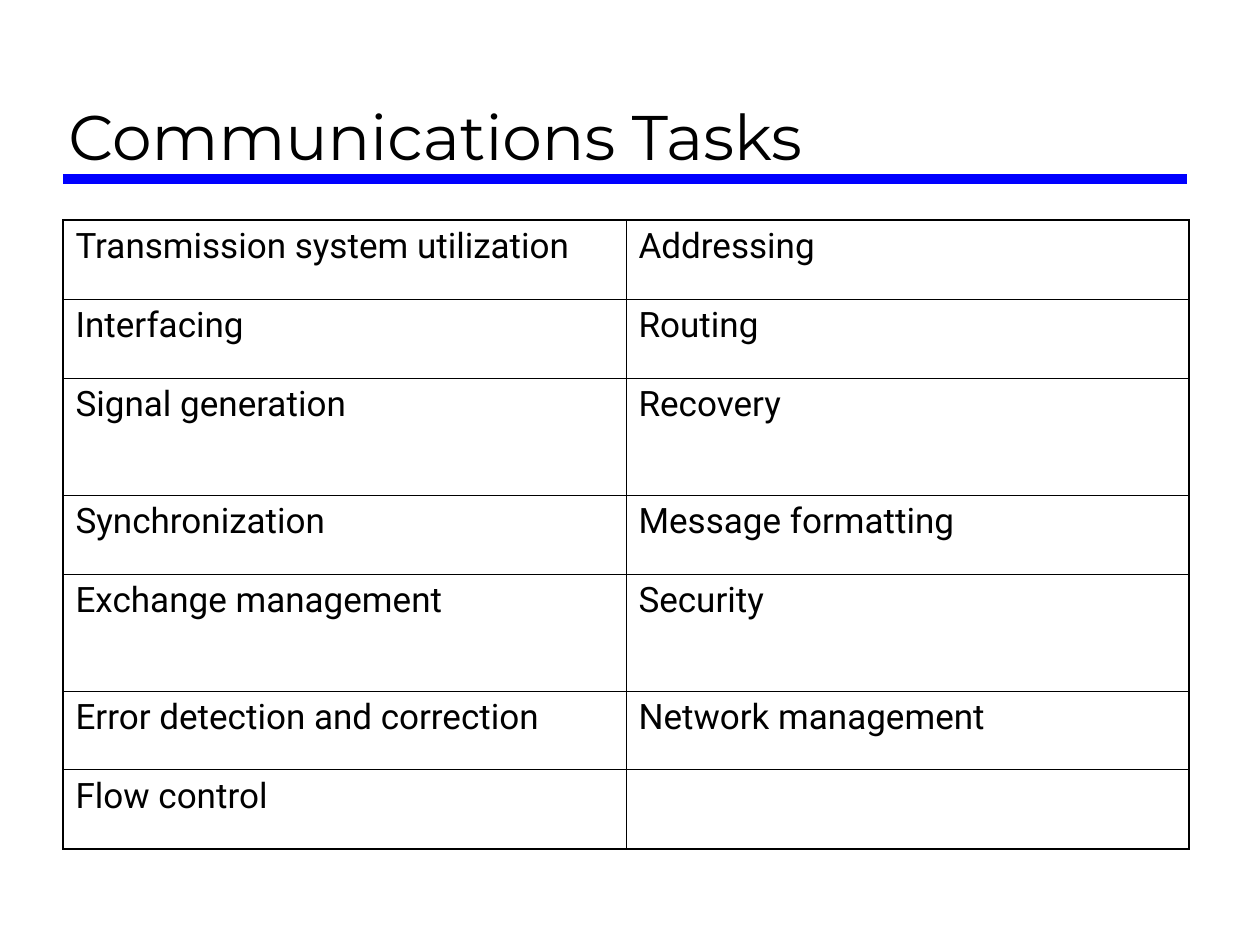
import pptx
import pptx.util
import pptx.dml.color
import pptx.enum.shapes
import pptx.enum.text
import pptx.oxml.ns
import lxml.etree

PX = 914400 // 126
BLACK = pptx.dml.color.RGBColor(0x00, 0x00, 0x00)
BLUE = pptx.dml.color.RGBColor(0x00, 0x00, 0xFF)
THICK, THIN = pptx.util.Pt(1.08), pptx.util.Pt(0.45)
qn = pptx.oxml.ns.qn

TASKS = [
    ("Transmission system utilization", "Addressing"),
    ("Interfacing", "Routing"),
    ("Signal generation", "Recovery"),
    ("Synchronization", "Message formatting"),
    ("Exchange management", "Security"),
    ("Error detection and correction", "Network management"),
    ("Flow control", ""),
]
ROW_HEIGHTS = [79, 79, 117, 79, 117, 79, 79]
COLUMN_WIDTH = 563


def set_font(p, name, size):
    p.font.name = name
    p.font.size = pptx.util.Pt(size)
    p.font.color.rgb = BLACK


def set_borders(cell, widths):
    """Draw black borders; widths are left, right, top, bottom."""
    tcPr = cell._tc.get_or_add_tcPr()
    for i, (side, width) in enumerate(zip("LRTB", widths)):
        ln = lxml.etree.Element(qn(f"a:ln{side}"), w=str(int(width)))
        fill = lxml.etree.SubElement(ln, qn("a:solidFill"))
        lxml.etree.SubElement(fill, qn("a:srgbClr"), val=str(BLACK))
        tcPr.insert(i, ln)


prs = pptx.Presentation()
prs.slide_width = 1260 * PX
prs.slide_height = 945 * PX
s = prs.slides.add_slide(prs.slide_layouts[6])

# Rule under the title
rule = s.shapes.add_connector(
    pptx.enum.shapes.MSO_CONNECTOR.STRAIGHT, 63 * PX, 179 * PX, 1187 * PX, 179 * PX)
rule.line.color.rgb = BLUE
rule.line.width = pptx.util.Pt(6)
lxml.etree.SubElement(rule._element.spPr, qn("a:effectLst"))

# Title
title = s.shapes.add_textbox(56 * PX, 21 * PX, 1130 * PX, 158 * PX)
tf = title.text_frame
tf.word_wrap = True
tf.vertical_anchor = pptx.enum.text.MSO_ANCHOR.BOTTOM
p = tf.paragraphs[0]
p.text = "Communications Tasks"
set_font(p, "Montserrat", 36)

# Task table
table = s.shapes.add_table(
    len(TASKS), 2, 63 * PX, 220 * PX, 2 * COLUMN_WIDTH * PX, sum(ROW_HEIGHTS) * PX).table
table.first_row = False
table.horz_banding = False
for column in table.columns:
    column.width = COLUMN_WIDTH * PX

last = len(TASKS) - 1
for row, (tasks, height) in enumerate(zip(TASKS, ROW_HEIGHTS)):
    table.rows[row].height = height * PX
    for col, task in enumerate(tasks):
        cell = table.cell(row, col)
        cell.fill.background()
        outer = (col == 0, col == 1, row == 0, row == last)
        set_borders(cell, [THICK if edge else THIN for edge in outer])
        p = cell.text_frame.paragraphs[0]
        p.text = task
        p.space_before = pptx.util.Pt(5)
        set_font(p, "Roboto", 20)

prs.save("out.pptx")
